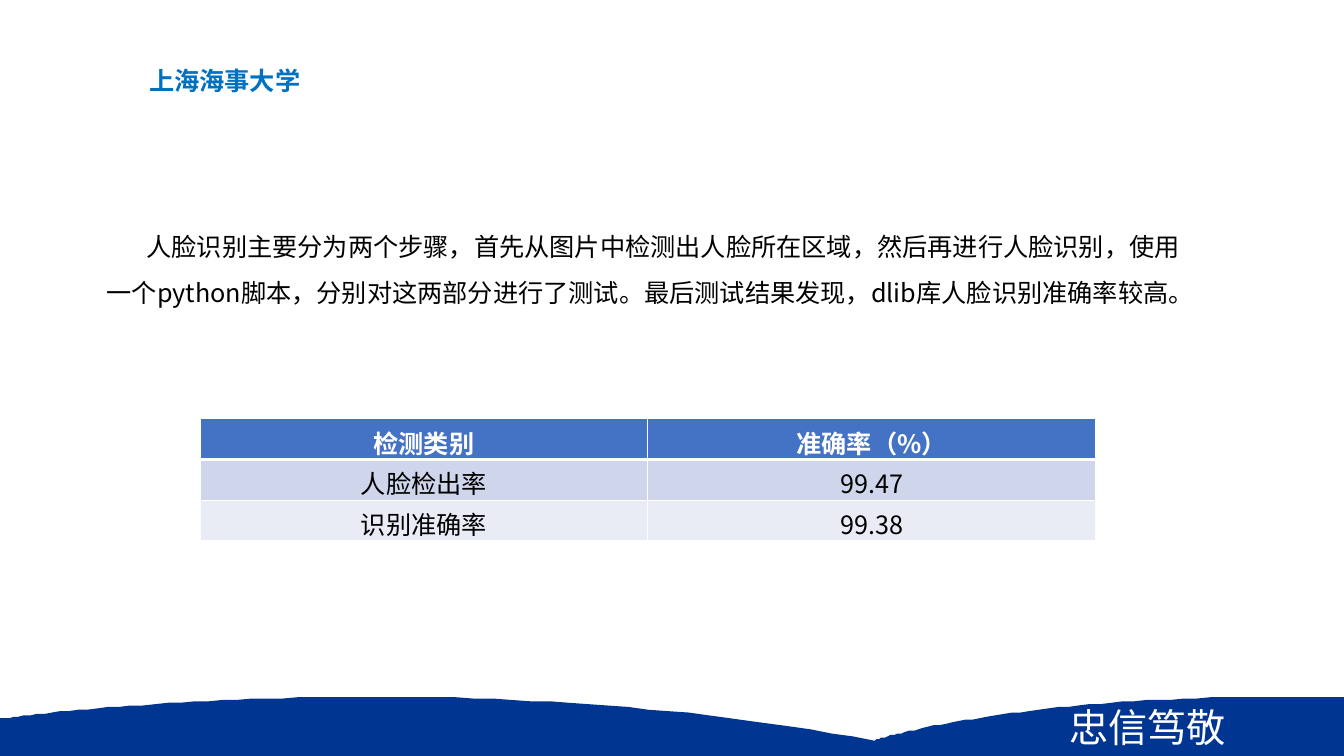
"""Build a slide on face recognition accuracy with a table and a wave footer."""
from lxml import etree
from pptx import Presentation
from pptx import util as u
from pptx.dml import color
from pptx.enum import text
from pptx.oxml import ns

SANS_SC, SANS_JP = "Noto Sans CJK SC", "Noto Sans CJK JP"
WHITE, BLACK, NAVY, SKY = "FFFFFF", "000000", "003692", "0070C0"
UNIVERSITY = "上海海事大学"
MOTTO = "忠信笃敬"
SUMMARY = ("人脸识别主要分为两个步骤，首先从图片中检测出人脸所在区域，然后再进行人脸识别，"
           "使用一个python脚本，分别对这两部分进行了测试。最后测试结果发现，dlib库人脸识别准确率较高。")
ACCURACY = [("检测类别", "准确率（%）"), ("人脸检出率", "99.47"), ("识别准确率", "99.38")]
ROW_FILLS = ["4472C4", "CFD5EA", "E9EBF5"]
LEFT_WAVE = [(623.5, 529.2), (329, 472.3), (32.4, 509), (0, 513.4)]
RIGHT_WAVE = [(960, 498.2), (729.4, 493.2), (623.5, 529.2), (623.5, 529.2)]
WIDTH, HEIGHT = 960, 540
COLUMN_WIDTH, ROW_HEIGHT = 319.9, 29.1


def rgb(hex_code):
    return color.RGBColor.from_string(hex_code)


def add_run(paragraph, words, size, face, hex_code, bold=False):
    run = paragraph.add_run()
    run.text = words
    run.font.size, run.font.bold = u.Pt(size), bold
    run.font.color.rgb = rgb(hex_code)
    run.font.name = face
    etree.SubElement(run.font._element, ns.qn("a:ea"), typeface=face)


def add_text(slide, box, words, size, face, hex_code, bold=False, wrap=True):
    frame = slide.shapes.add_textbox(*map(u.Pt, box)).text_frame
    frame.word_wrap = wrap
    frame.auto_size = text.MSO_AUTO_SIZE.SHAPE_TO_FIT_TEXT
    paragraph = frame.paragraphs[0]
    add_run(paragraph, words, size, face, hex_code, bold)
    return paragraph


def bezier(controls, steps=60):
    points = []
    for step in range(steps + 1):
        t = step / steps
        weights = ((1 - t) ** 3, 3 * t * (1 - t) ** 2, 3 * t * t * (1 - t), t ** 3)
        points.append(tuple(sum(w * c[axis] for w, c in zip(weights, controls))
                            for axis in (0, 1)))
    return points


def add_wave(slide):
    outline = (bezier(LEFT_WAVE) + [(0, HEIGHT), (WIDTH, HEIGHT)] + bezier(RIGHT_WAVE))
    builder = slide.shapes.build_freeform(*outline[0], scale=u.Pt(1))
    builder.add_line_segments(outline[1:], close=True)
    wave = builder.convert_to_shape()
    wave.shadow.inherit = False
    wave.fill.solid()
    wave.fill.fore_color.rgb = rgb(NAVY)
    wave.line.fill.background()


def add_borders(cell, is_header):
    properties = cell._tc.get_or_add_tcPr()
    for position, side in enumerate(("lnL", "lnR", "lnT", "lnB")):
        weight = 3 if is_header and side == "lnB" else 1
        border = etree.Element(ns.qn("a:" + side), w=str(u.Pt(weight)))
        fill = etree.SubElement(border, ns.qn("a:solidFill"))
        etree.SubElement(fill, ns.qn("a:srgbClr"), val=WHITE)
        properties.insert(position, border)


def add_accuracy_table(slide):
    rows, columns = len(ACCURACY), len(ACCURACY[0])
    table = slide.shapes.add_table(
        rows, columns, u.Pt(142.8), u.Pt(299.2),
        u.Pt(columns * COLUMN_WIDTH), u.Pt(rows * ROW_HEIGHT)).table
    for r, entries in enumerate(ACCURACY):
        is_header = r == 0
        for c, entry in enumerate(entries):
            cell = table.cell(r, c)
            cell.margin_bottom = 0
            cell.fill.solid()
            cell.fill.fore_color.rgb = rgb(ROW_FILLS[r])
            paragraph = cell.text_frame.paragraphs[0]
            paragraph.alignment = text.PP_ALIGN.CENTER
            add_run(paragraph, entry, 18, SANS_SC, WHITE if is_header else BLACK, is_header)
            add_borders(cell, is_header)


def main():
    deck = Presentation()
    deck.slide_width, deck.slide_height = u.Pt(WIDTH), u.Pt(HEIGHT)
    slide = deck.slides.add_slide(deck.slide_layouts[6])
    add_wave(slide)
    motto = add_text(slide, (756.7, 499, 190.8, 41), MOTTO, 28, SANS_JP, WHITE)
    motto.alignment = text.PP_ALIGN.JUSTIFY
    add_text(slide, (99.4, 43.2, 123.8, 28.8), UNIVERSITY, 18, SANS_SC, SKY, True, False)
    summary = add_text(slide, (69.1, 151.2, 786.2, 69.1), SUMMARY, 18, SANS_SC, BLACK)
    summary.line_spacing = 1.5
    summary._p.get_or_add_pPr().set("indent", str(u.Pt(28.5)))
    add_accuracy_table(slide)
    deck.save("out.pptx")


if __name__ == "__main__":
    main()
